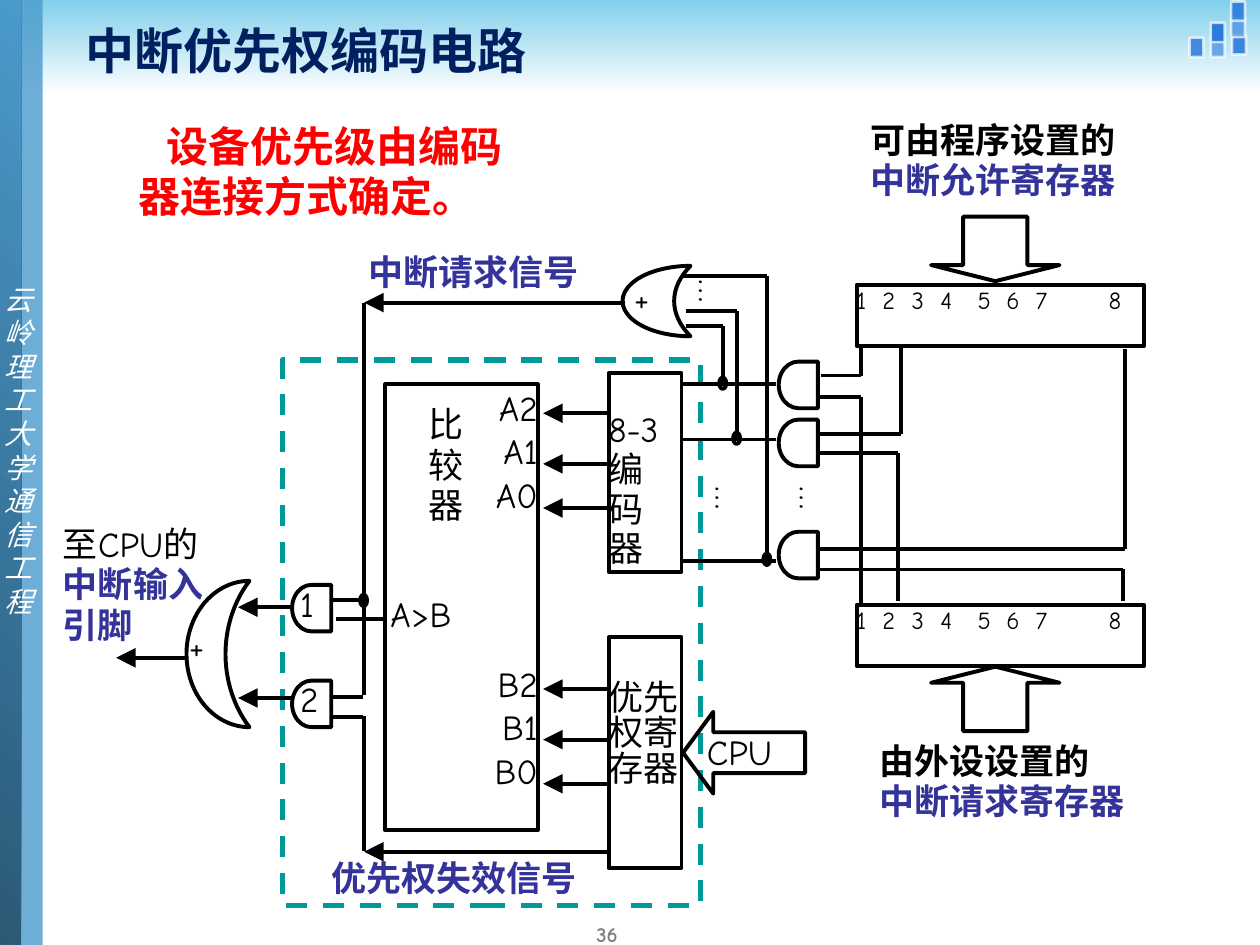
import lxml.etree
import pptx
import pptx.dml.color
import pptx.enum.dml
import pptx.enum.shapes
import pptx.enum.text
import pptx.oxml.ns
import pptx.util

Cm, Pt = pptx.util.Cm, pptx.util.Pt
RGB = pptx.dml.color.RGBColor
MSO = pptx.enum.shapes.MSO_SHAPE
ALIGN = pptx.enum.text.PP_ALIGN
MIDDLE = pptx.enum.text.MSO_ANCHOR.MIDDLE
DASH = pptx.enum.dml.MSO_LINE.DASH
qn = pptx.oxml.ns.qn

BLACK, WHITE = RGB(0, 0, 0), RGB(255, 255, 255)
NAVY, INDIGO, RED = RGB(0x00, 0x20, 0x60), RGB(0x33, 0x33, 0x99), RGB(255, 0, 0)
TEAL, GREY = RGB(0x00, 0x99, 0x99), RGB(0x7F, 0x7F, 0x7F)
SKY, BLUE = RGB(0x81, 0xCF, 0xEB), RGB(0x29, 0x7C, 0xDD)
STEEL, DEEP = RGB(0x4A, 0x9A, 0xCC), RGB(0x2B, 0x59, 0x76)

PLAIN = {"name": "Comic Neue", "size": Pt(20), "bold": False}
BOLD = {**PLAIN, "bold": True}
TIGHT = {"line_spacing": 0.96}
GATE = (0.79, 0.94)
SYMBOL = (0.76, 0.94)


def set_alpha(fill, percent):
    clr = fill._xPr.find(".//" + qn("a:srgbClr"))
    lxml.etree.SubElement(clr, qn("a:alpha")).set("val", str(percent * 1000))


def put_text(sp, paras, font=PLAIN, color=BLACK, para=TIGHT, top=0, anchor=None):
    """Each paragraph is a string or a list of (text, font, colour) runs."""
    tf = sp.text_frame
    frame = {"word_wrap": True, "margin_left": 0, "margin_right": 0, "margin_top": Cm(top),
             "margin_bottom": 0, "vertical_anchor": anchor or pptx.enum.text.MSO_ANCHOR.TOP}
    for key, value in frame.items():
        setattr(tf, key, value)
    for i, runs in enumerate(paras):
        p = tf.paragraphs[0] if i == 0 else tf.add_paragraph()
        for key, value in {"alignment": ALIGN.LEFT, **para}.items():
            setattr(p, key, value)
        for words, fmt, rgb in [(runs, font, color)] if isinstance(runs, str) else runs:
            r = p.add_run()
            r.text = words
            for key, value in fmt.items():
                setattr(r.font, key, value)
            r.font.color.rgb = rgb
    return tf


def label(s, x, y, w, h, paras, **style):
    sp = s.shapes.add_textbox(Cm(x), Cm(y), Cm(w), Cm(h))
    return put_text(sp, paras, **style)


def outline(s, kind, x, y, w, h, color=BLACK, width=2.25, flip=None, adj=()):
    sp = s.shapes.add_shape(kind, Cm(x), Cm(y), Cm(w), Cm(h))
    sp.shadow.inherit = False
    sp.fill.background()
    sp.line.color.rgb = color
    sp.line.width = Pt(width)
    if flip:
        sp._element.spPr.xfrm.set(flip, "1")
    for i, value in enumerate(adj):
        sp.adjustments[i] = value
    return sp


def wire(s, x, y, points, arrow=False):
    """Joins the points, given relative to x, y, by straight lines."""
    for (x1, y1), (x2, y2) in zip(points, points[1:]):
        c = s.shapes.add_connector(pptx.enum.shapes.MSO_CONNECTOR.STRAIGHT,
                                   Cm(x + x1), Cm(y + y1), Cm(x + x2), Cm(y + y2))
        c.line.color.rgb = BLACK
        c.line.width = Pt(2.25)
        lxml.etree.SubElement(c._element.spPr, qn("a:effectLst"))
        if arrow:
            end = lxml.etree.SubElement(c.line._get_or_add_ln(), qn("a:tailEnd"))
            for key, value in {"type": "triangle", "w": "lg", "len": "lg"}.items():
                end.set(key, value)


def junction(s, x, y):
    outline(s, MSO.FLOWCHART_CONNECTOR, x - 0.08, y - 0.14, 0.14, 0.23)


def ellipsis(s, x, y):
    tf = label(s, x, y, 0.43, 0.84, ["…"],
               para={"line_spacing": 0.64, "alignment": ALIGN.JUSTIFY})
    tf._txBody.bodyPr.set("vert", "eaVert")


def and_gate(s, x, y):
    outline(s, MSO.FLOWCHART_DELAY, x, y, *GATE, flip="flipH")


def panel(s, x, y, w, h):
    sp = outline(s, MSO.RECTANGLE, x, y, w, h)
    sp.line.fill.background()
    return sp


def gradient(sp, first, last, angle):
    sp.fill.gradient()
    sp.fill.gradient_angle = angle
    for stop, rgb in zip(sp.fill.gradient_stops, (first, last)):
        stop.color.rgb = rgb


def backdrop(s, w, h):
    gradient(panel(s, 0, 0, w, 1.9), SKY, WHITE, 270)
    for dx, y, alpha in ((0.56, 0.71, 90), (0.99, 0.76, 60), (1.42, 0.76, 85),
                         (0.99, 0.46, 100), (0.58, 0.36, 60), (0.58, 0.03, 90)):
        sp = outline(s, MSO.RECTANGLE, w - dx, y, 0.28, 0.39, WHITE, 1.5)
        sp.fill.solid()
        sp.fill.fore_color.rgb = BLUE
        set_alpha(sp.fill, alpha)
        set_alpha(sp.line.fill, 70)
    sp = panel(s, 0.28, 0, 0.58, h)
    sp.fill.solid()
    sp.fill.fore_color.rgb = STEEL
    set_alpha(sp.fill, 80)
    gradient(panel(s, 0, 0, 0.43, h), DEEP, STEEL, 45)
    label(s, 0.1, 5.69, 0.75, 6.83, ["云岭理工大学通信工程"], color=WHITE, para={},
          font={"name": "Arial", "size": Pt(16), "italic": True})


def headings(s):
    label(s, 1.73, 0.2, 20.9, 1.6, ["中断优先权编码电路"], color=NAVY, para={},
          font={**BOLD, "size": Pt(28)}, anchor=MIDDLE)
    tf = label(s, 2.79, 2.29, 7.8, 2.31, ["设备优先级由编码器连接方式确定。"], color=RED,
               para={}, font={**BOLD, "size": Pt(24)}, anchor=MIDDLE)
    tf.paragraphs[0]._p.get_or_add_pPr().set("indent", str(Cm(0.57)))
    label(s, 11, 18.62, 1.45, 0.43, ["36"], color=GREY, font={**BOLD, "size": Pt(12)},
          para={"alignment": ALIGN.RIGHT}, anchor=MIDDLE)


def comparator(s, x, y):
    sp = outline(s, MSO.RECTANGLE, x, y, 3.07, 8.99)
    tf = put_text(sp, ["A2", "A1", "A0", "B2", "B1", "B0"],
                  para={"line_spacing": 1.04, "alignment": ALIGN.RIGHT})
    tf.paragraphs[3].space_before = Pt(83)
    label(s, x + 0.87, y + 0.43, 0.51, 2.95, ["比较器"])
    label(s, x + 0.1, y + 4.26, 1.42, 0.89, ["A>B"])


def code_source(s, x, y, h, paras, spacing, top, first):
    """A block that sends three code bits to the comparator on its left."""
    sp = outline(s, MSO.RECTANGLE, x, y, 1.47, h)
    put_text(sp, paras, para={"line_spacing": spacing}, top=top)
    for dy in (0, 1.02, 1.91):
        wire(s, x, y + first + dy, [(0, 0), (-1.32, 0)], arrow=True)


def cpu_input(s, x, y):
    outline(s, MSO.LEFT_ARROW, x, y, 2.46, 1.65, adj=(0.5, 0.37))
    label(s, x + 0.48, y + 0.43, 1.7, 0.89, ["CPU"])


def request_or(s, x, y):
    outline(s, MSO.MOON, x, y, 1.37, 1.42, adj=(0.76,))
    label(s, x + 0.23, y + 0.28, *SYMBOL, ["+"])
    for tap_x, tap_y, in_x, in_y in ((2.03, 2.39, 1.27, 1.22), (2.31, 3.5, 1.27, 0.91),
                                     (2.92, 5.94, 1.22, 0.2)):
        wire(s, x, y, [(tap_x, tap_y), (tap_x, in_y), (in_x, in_y)])
        junction(s, x + tap_x, y + tap_y)
    ellipsis(s, x + 1.55, y + 0.28)
    wire(s, x, y, [(0.05, 0.74), (-5.21, 0.74)], arrow=True)
    label(s, x - 5.13, y - 0.25, 4.57, 0.89, ["中断请求信号"], font=BOLD, color=INDIGO)


def cpu_output(s, x, y):
    label(s, x, y, 2.97, 2.74, [[("至CPU的", PLAIN, BLACK), ("中断输入引脚", BOLD, INDIGO)]])
    outline(s, MOON_KIND, x + 2.49, y + 1.12, 1.27, 2.95, adj=(0.62,))
    label(s, x + 2.54, y + 2.06, *SYMBOL, ["+"])
    for x1, x2, dy in ((4.62, 3.53, 1.65), (4.62, 3.53, 3.48), (2.49, 1.07, 2.67)):
        wire(s, x, y + dy, [(x1, 0), (x2, 0)], arrow=True)
    for number, dy in (("1", 1.2), ("2", 3.13)):
        and_gate(s, x + 4.62, y + dy)
        label(s, x + 4.78, y + dy, *SYMBOL, [number])
    for dy in (1.5, 3.46, 3.86):
        wire(s, x, y + dy, [(6.05, 0), (5.41, 0)])
    wire(s, x, y, [(6.5, 1.88), (5.51, 1.88)])
    wire(s, x, y, [(6.07, -4.49), (6.07, 3.43)])
    wire(s, x, y, [(6.07, 3.84), (6.07, 6.56)])
    junction(s, x + 6.07, y + 1.54)
    wire(s, x, y, [(11, 6.58), (6.07, 6.58)], arrow=True)
    label(s, x + 5.41, y + 6.73, 5.31, 0.89, ["优先权失效信号"], font=BOLD, color=INDIGO)


def gate_column(s, x, y):
    for gate_y, out_y in ((0.29, 0.75), (1.46, 1.86), (3.72, 4.3)):
        and_gate(s, x + 1.95, y + gate_y)
        wire(s, x, y + out_y, [(1.9, 0), (0, 0)])
    for points in ([(3.6, 0), (3.6, 0.57), (2.81, 0.57)],
                   [(2.76, 1), (3.6, 1), (3.6, 5.19)],
                   [(4.41, 0), (4.41, 1.74), (2.76, 1.74)],
                   [(2.76, 2.14), (4.36, 2.14), (4.36, 5.12)],
                   [(8.93, 0.04), (8.93, 4.07), (2.76, 4.07)],
                   [(2.71, 4.48), (8.89, 4.48), (8.89, 5.12)]):
        wire(s, x, y, points)
    for dx in (0.68, 2.38):
        ellipsis(s, x + dx, y + 2.8)


def register(s, x, y, arrow_dy, flip, caption_dx, caption_dy, caption):
    sp = outline(s, MSO.RECTANGLE, x, y, 5.79, 1.24)
    tf = put_text(sp, ["\t".join("12345678")], font={**PLAIN, "size": Pt(14)}, para={})
    tabs = lxml.etree.SubElement(tf.paragraphs[0]._p.get_or_add_pPr(), qn("a:tabLst"))
    for pos in (0.52, 1.11, 1.69, 2.44, 3.02, 3.61, 5.08):
        tab = lxml.etree.SubElement(tabs, qn("a:tab"))
        tab.set("pos", str(Cm(pos)))
        tab.set("algn", "l")
    outline(s, MSO.UP_ARROW, x + 1.5, y + arrow_dy, 2.59, 1.3, flip=flip, adj=(0.5, 0.25))
    label(s, x + caption_dx, y + caption_dy, 5.49, 1.9,
          [[(caption[0], BOLD, BLACK)], [(caption[1], BOLD, INDIGO)]])


MOON_KIND = MSO.MOON


def main():
    prs = pptx.Presentation()
    prs.slide_width, prs.slide_height = Cm(25.4), Cm(19.05)
    s = prs.slides.add_slide(prs.slide_layouts[6])
    backdrop(s, 25.4, 19.05)
    headings(s)
    outline(s, MSO.RECTANGLE, 5.69, 7.26, 8.43, 11, TEAL, 3).line.dash_style = DASH
    code_source(s, 12.27, 7.52, 4.01, ["8-3编", "码", "器"], 0.95, 0.75, 0.81)
    code_source(s, 12.27, 12.85, 4.65, ["优先权寄存器"], 0.85, 0.89, 1.04)
    comparator(s, 7.77, 7.75)
    cpu_input(s, 13.77, 14.35)
    request_or(s, 12.55, 5.36)
    cpu_output(s, 1.27, 10.59)
    gate_column(s, 13.75, 7)
    register(s, 17.27, 5.74, -1.37, "flipV", 0.28, -3.3, ("可由程序设置的", "中断允许寄存器"))
    register(s, 17.27, 12.19, 1.25, None, 0.46, 2.77, ("由外设设置的", "中断请求寄存器"))
    prs.save("out.pptx")


if __name__ == "__main__":
    main()
